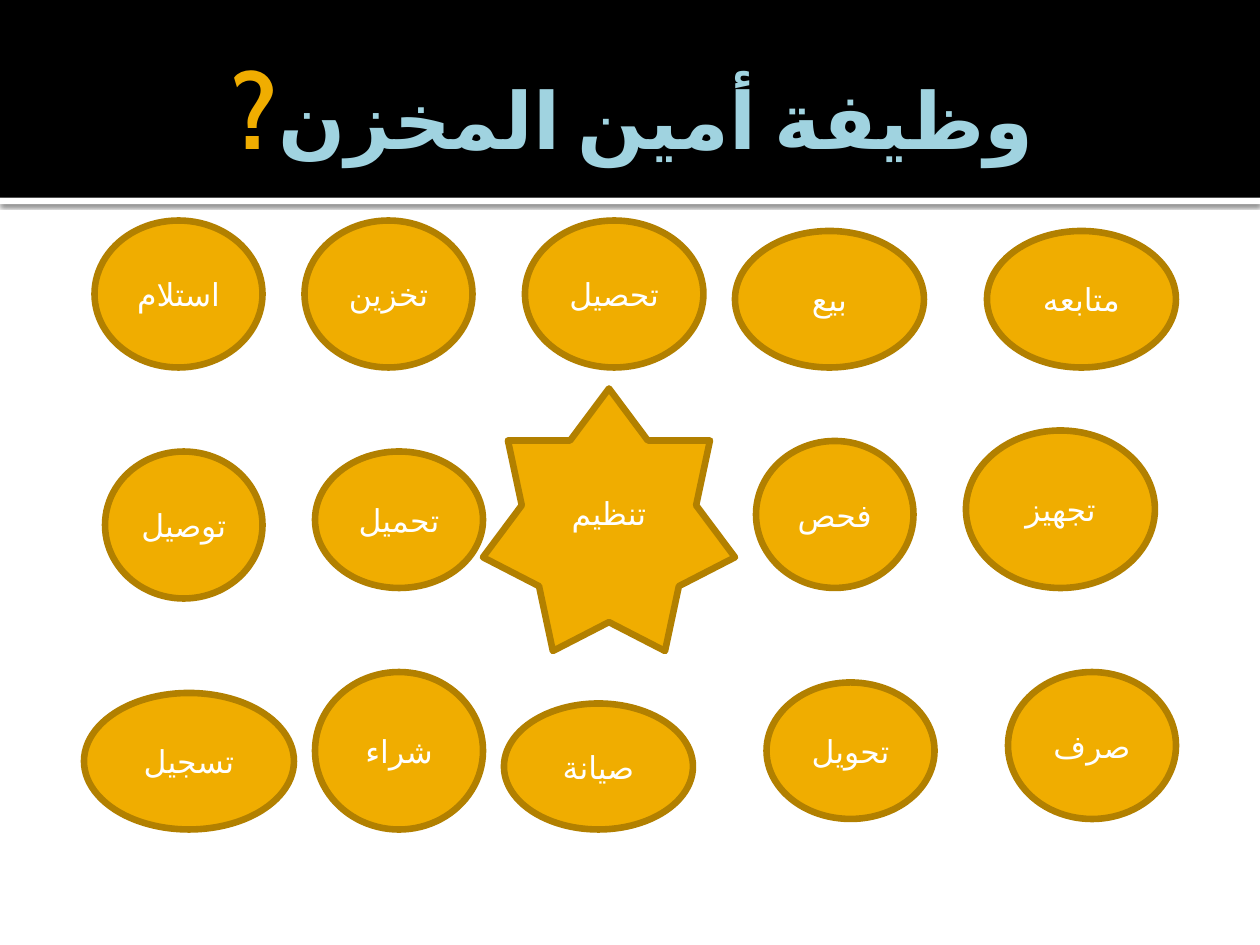
from lxml.etree import SubElement as Sub
from pptx import Presentation
from pptx.dml.color import RGBColor as RGB
from pptx.enum.lang import MSO_LANGUAGE_ID as LANG
from pptx.enum.shapes import MSO_SHAPE as SHAPE
from pptx.enum.text import MSO_ANCHOR as ANCHOR, PP_ALIGN as ALIGN
from pptx.oxml.ns import qn
from pptx.util import Inches, Pt

INK = {"black": "000000", "white": "FFFFFF", "sky": "A0D3E0",
       "gold": "F0AD00", "rim": "B28000"}
FONT = "Cabin"
WIDE, HIGH = 10, 7.5
COLS = 120  # square grid cells across the slide
CELL = WIDE / COLS

TITLE = [("وظيفة أمين المخزن", 45, "sky"), ("?", 60, "gold")]

# word, then column, row, width and height in grid cells
ROWS = [
    [("استلام", 9, 21, 16, 14), ("تخزين", 29, 21, 16, 14),
     ("تحصيل", 50, 21, 17, 14), ("بيع", 70, 22, 18, 13),
     ("متابعه", 94, 22, 18, 13)],
    [("توصيل", 10, 43, 15, 14), ("تحميل", 30, 43, 16, 13),
     ("فحص", 72, 42, 15, 14), ("تجهيز", 92, 41, 18, 15)],
    [("تسجيل", 8, 66, 20, 13), ("شراء", 30, 64, 16, 15),
     ("صيانة", 48, 67, 18, 12), ("تحويل", 73, 65, 16, 13),
     ("صرف", 96, 64, 16, 14)],
]
STAR = ("تنظيم", 46, 37, 24, 25)


def write(frame, runs, bold=False, rtl=False):
    """Fill a frame with one centred paragraph of (text, size, ink) runs."""
    frame.word_wrap = True
    frame.vertical_anchor = ANCHOR.MIDDLE
    para = frame.paragraphs[0]
    para.alignment = ALIGN.CENTER
    if rtl:
        para._p.get_or_add_pPr().set("rtl", "1")
    for text, size, ink in runs:
        run = para.add_run()
        run.text = text
        run.font.name = FONT
        run.font.size = Pt(size)
        run.font.bold = bold
        run.font.language_id = LANG.ARABIC
        run.font.color.rgb = RGB.from_string(INK[ink])
        # Arabic letters take the complex-script font
        Sub(run._r.get_or_add_rPr(), qn("a:cs"), typeface=FONT)


def draw(slide, kind, box, fill, line=None):
    shape = slide.shapes.add_shape(kind, *map(Inches, box))
    shape.shadow.inherit = False
    shape.fill.solid()
    shape.fill.fore_color.rgb = RGB.from_string(INK[fill])
    if line:
        shape.line.color.rgb = RGB.from_string(INK[line])
        shape.line.width = Pt(3.78)
    else:
        shape.line.fill.background()
    return shape


def shade(shape):
    """Cast a soft black shadow straight down."""
    effects = shape._element.spPr.find(qn("a:effectLst"))
    outer = Sub(effects, qn("a:outerShdw"), blurRad=str(Pt(2.5)),
                dist=str(Pt(0.8)), dir="5400000", algn="tl",
                rotWithShape="0")
    tint = Sub(outer, qn("a:srgbClr"), val=INK["black"])
    Sub(tint, qn("a:alpha"), val="60000")


def badge(slide, kind, word, *cells):
    shape = draw(slide, kind, [n * CELL for n in cells], "gold", "rim")
    write(shape.text_frame, [(word, 18, "white")])


def head(slide):
    band = 1.57
    shade(draw(slide, SHAPE.RECTANGLE, (0, band, WIDE, 0.05), "white"))
    draw(slide, SHAPE.RECTANGLE, (0, 0, WIDE, band), "black")
    edge = WIDE * 0.05
    box = (edge, 0.17, WIDE - 2 * edge, 1.37)
    frame = slide.shapes.add_textbox(*map(Inches, box)).text_frame
    frame.margin_right = Inches(0.05)
    write(frame, TITLE, bold=True, rtl=True)


def main():
    deck = Presentation()
    deck.slide_width, deck.slide_height = Inches(WIDE), Inches(HIGH)
    slide = deck.slides.add_slide(deck.slide_layouts[6])
    head(slide)
    for row in ROWS:
        for job in row:
            badge(slide, SHAPE.OVAL, *job)
    badge(slide, SHAPE.STAR_7_POINT, *STAR)
    deck.save("out.pptx")


if __name__ == "__main__":
    main()
